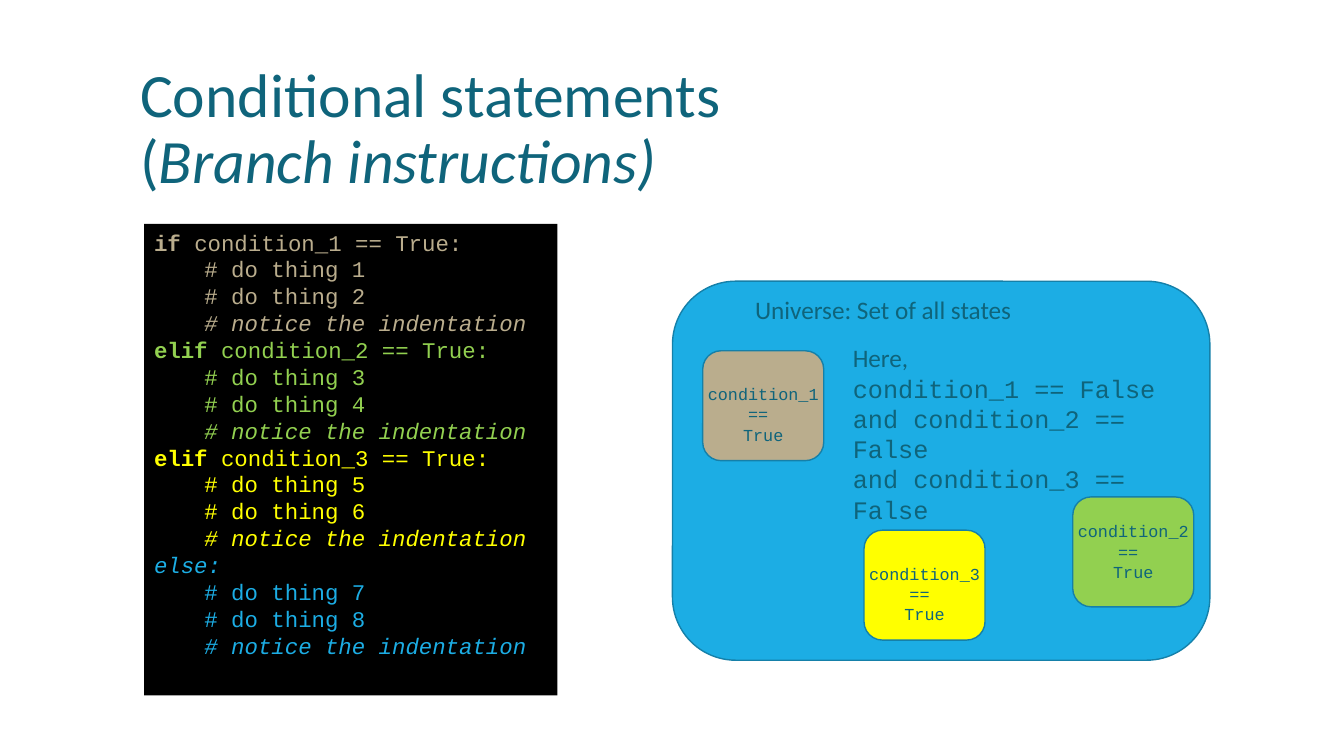
import pptx
import pptx.util
import pptx.dml.color
import pptx.enum.shapes
import pptx.enum.text

PX = 9144  # EMU per px, 100 px to the inch
SANS, MONO = "Calibri", "Courier New"
COLORS = {
    "ink": "0F647B", "sky": "1CADE4", "edge": "1580A9", "tan": "BAAD8D",
    "green": "92D050", "yellow": "FFFF00", "black": "000000",
}
SHAPES = pptx.enum.shapes.MSO_SHAPE
ALIGN = pptx.enum.text.PP_ALIGN
ANCHOR = pptx.enum.text.MSO_ANCHOR
FIT = pptx.enum.text.MSO_AUTO_SIZE

# Branches of the statement: keyword, rest of the line, colour, numbers of things
BRANCHES = [
    ("if", " condition_1 == True:", "tan", (1, 2)),
    ("elif", " condition_2 == True:", "green", (3, 4)),
    ("elif", " condition_3 == True:", "yellow", (5, 6)),
    ("else:", "", "sky", (7, 8)),
]
# Sets in the universe: number, left, top, drop of the label, colour
SETS = [
    (1, 697, 348, 28, "tan"),
    (2, 1064, 493, 19, "green"),
    (3, 857, 526, 28, "yellow"),
]


def rgb(name):
    return pptx.dml.color.RGBColor.from_string(COLORS[name])


def box(*lengths):
    return [pptx.util.Emu(n * PX) for n in lengths]


def style(run, size, face=SANS, color="ink", bold=False, italic=False):
    font = run.font
    font.size, font.name = pptx.util.Pt(size), face
    font.bold, font.italic = bold, italic
    font.color.rgb = rgb(color)


def add_panel(slide, kind, area, fill, edge=None):
    panel = slide.shapes.add_shape(kind, *box(*area))
    panel.shadow.inherit = False
    panel.fill.solid()
    panel.fill.fore_color.rgb = rgb(fill)
    if edge:
        panel.line.color.rgb = rgb(edge)
        panel.line.width = pptx.util.Pt(1)
    else:
        panel.line.fill.background()
    return panel


def add_label(slide, area, lines, size, faces, align=ALIGN.LEFT):
    frame = slide.shapes.add_textbox(*box(*area)).text_frame
    frame.word_wrap = True
    frame.text = "\n".join(lines)
    for para, face in zip(frame.paragraphs, faces):
        para.alignment = align
        for run in para.runs:
            style(run, size, face)


def add_title(slide):
    title = slide.shapes.title
    title.left, title.top, title.width, title.height = box(129, 46, 1071, 167)
    frame = title.text_frame
    frame.auto_size = FIT.NONE
    frame.vertical_anchor = ANCHOR.MIDDLE
    frame.text = "Conditional statements\v("
    para = frame.paragraphs[0]
    para.alignment = ALIGN.LEFT
    para.line_spacing = 0.9
    para.add_run().text = "Branch instructions)"
    for run in para.runs:
        style(run, 44)
    para.runs[-1].font.italic = True


def add_set(slide, number, left, top, drop, color):
    add_panel(slide, SHAPES.ROUNDED_RECTANGLE, (left, top, 120, 109), color, "edge")
    lines = [f"condition_{number} ", "== ", "True"]
    add_label(slide, (left - 6, top + drop, 132, 71), lines, 12, [MONO] * 3,
              ALIGN.CENTER)


def add_line(frame, parts, color, level=0):
    # parts: (text, bold, italic) for each run
    para = frame.paragraphs[0]
    if para.runs:
        para = frame.add_paragraph()
    para.alignment = ALIGN.LEFT
    para.level = level
    for text, bold, italic in parts:
        run = para.add_run()
        run.text = text
        style(run, 16, MONO, color, bold, italic)


def add_code(slide):
    frame = add_panel(slide, SHAPES.RECTANGLE, (143, 222, 410, 468), "black").text_frame
    frame.word_wrap = True
    frame.vertical_anchor = ANCHOR.TOP
    for word, rest, color, things in BRANCHES:
        if rest:
            head = [(word, True, False), (rest, False, False)]
        else:
            head = [(word, False, True)]
        add_line(frame, head, color)
        for number in things:
            add_line(frame, [(f"# do thing {number}", False, False)], color, 1)
        add_line(frame, [("# notice the indentation", False, True)], color, 1)


def main():
    deck = pptx.Presentation()
    deck.slide_width, deck.slide_height = box(1333, 750)
    slide = deck.slides.add_slide(deck.slide_layouts[5])
    add_title(slide)

    # Universe with its sets
    add_panel(slide, SHAPES.ROUNDED_RECTANGLE, (667, 279, 533, 376), "sky", "edge")
    add_label(slide, (739, 287, 277, 71), ["Universe: Set of all states"], 18, [SANS])
    for item in SETS:
        add_set(slide, *item)

    # States outside every set
    outside = ["Here,", "condition_1 == False",
               "and condition_2 == False", "and condition_3 == False"]
    add_label(slide, (836, 335, 366, 131), outside, 18, [SANS] + [MONO] * 3)

    # Code listing
    add_code(slide)
    deck.save("out.pptx")


if __name__ == "__main__":
    main()
